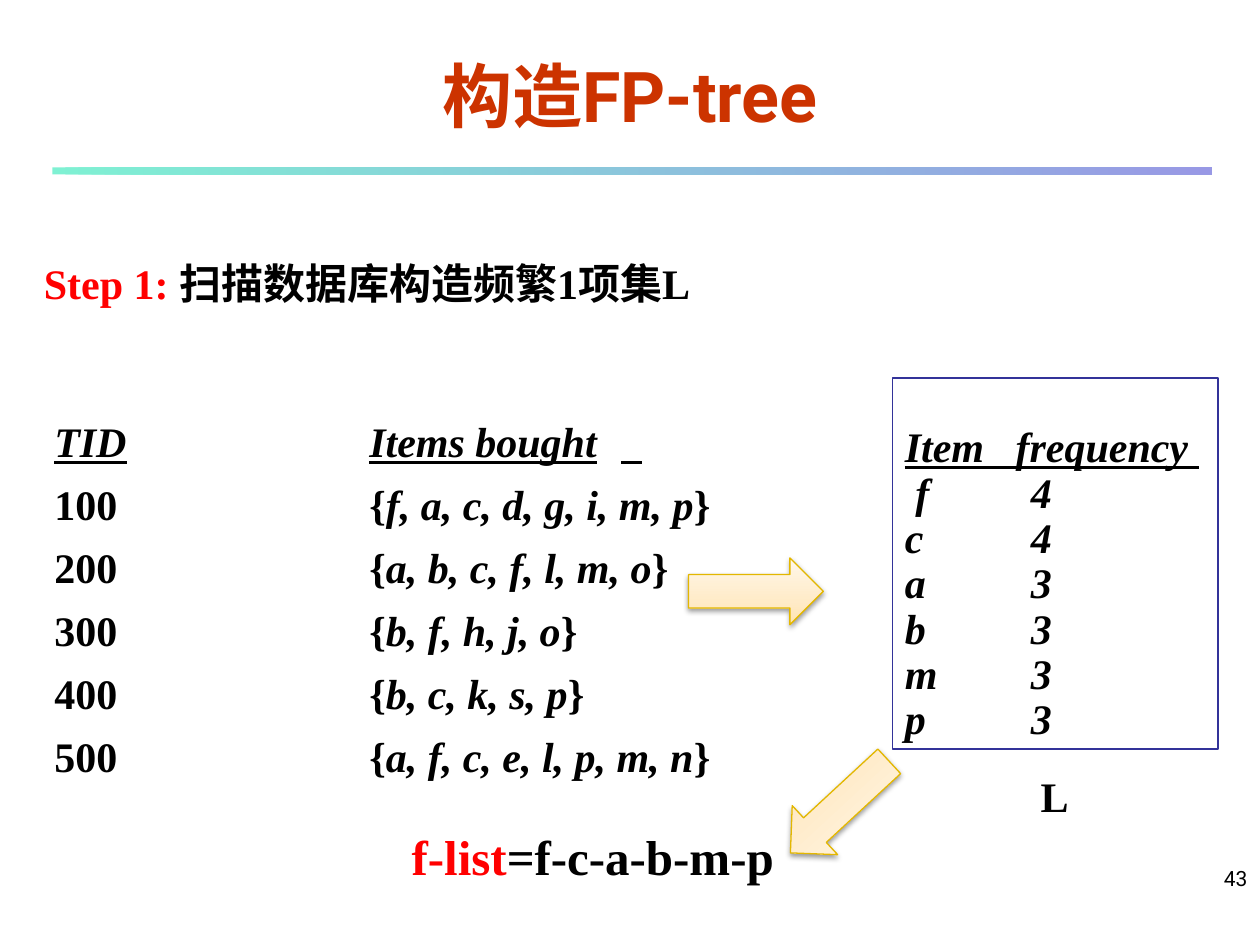
from dataclasses import dataclass

from lxml.etree import SubElement
from pptx import Presentation
from pptx.dml.color import RGBColor
from pptx.enum.shapes import MSO_SHAPE
from pptx.enum.text import MSO_ANCHOR, MSO_AUTO_SIZE, PP_ALIGN
from pptx.oxml.ns import qn
from pptx.util import Pt

BLACK = RGBColor(0x00, 0x00, 0x00)
RED = RGBColor(0xFF, 0x00, 0x00)
TITLE_RED = RGBColor(0xCC, 0x33, 0x00)
FRAME_BLUE = RGBColor(0x33, 0x33, 0x99)
ARROW_EDGE = RGBColor(0xE3, 0xB7, 0x00)
RULE_GREEN = RGBColor(0x00, 0xE4, 0xA8)
RULE_BLUE = RGBColor(0x33, 0x33, 0xCC)
CREAM_DARK = RGBColor(0xFF, 0xE4, 0xB1)
CREAM = RGBColor(0xFF, 0xEB, 0xC8)
CREAM_LIGHT = RGBColor(0xFF, 0xF7, 0xEA)
SERIF, SANS = "Times New Roman", "Roboto"
TAB_STEP = Pt(72)


@dataclass
class Area:
    left: float
    top: float
    width: float
    height: float

    def lengths(self):
        return Pt(self.left), Pt(self.top), Pt(self.width), Pt(self.height)


@dataclass
class Span:
    text: str
    size: float = 24
    color: RGBColor = BLACK
    italic: bool = False
    underline: bool = False
    bold: bool = True
    font: str = SERIF


@dataclass
class Arrow:
    area: Area
    rotation: float = 0


TRANSACTIONS = {
    "100": "f, a, c, d, g, i, m, p",
    "200": "a, b, c, f, l, m, o",
    "300": "b, f, h, j, o",
    "400": "b, c, k, s, p",
    "500": "a, f, c, e, l, p, m, n",
}
FREQUENCIES = {" f": 4, "c": 4, "a": 3, "b": 3, "m": 3, "p": 3}
ARROWS = [
    Arrow(Area(393.5, 318.8, 77, 38.2)),
    Arrow(Area(441.4, 442.1, 77, 38.2), 137.2),
]


def add_spans(para, spans: list[Span]) -> None:
    for span in spans:
        run = para.add_run()
        run.text = span.text
        font = run.font
        font.name, font.size, font.bold = span.font, Pt(span.size), span.bold
        font.italic, font.underline = span.italic, span.underline
        font.color.rgb = span.color


def fill_lines(frame, lines: list[list[Span]], spacing: float, hanging: float = 0) -> None:
    for index, spans in enumerate(lines):
        para = frame.paragraphs[0] if index == 0 else frame.add_paragraph()
        para.alignment = PP_ALIGN.LEFT
        para.line_spacing, para.space_before = Pt(spacing), Pt(0)
        properties = para._p.get_or_add_pPr()
        properties.set("defTabSz", str(TAB_STEP))
        if hanging:
            properties.set("marL", str(Pt(hanging)))
            properties.set("indent", str(Pt(-hanging)))
            SubElement(properties, qn("a:buNone"))
        add_spans(para, spans)


def add_label(page, area: Area, spans: list[Span], wrap: bool = False):
    box = page.shapes.add_textbox(*area.lengths())
    box.text_frame.word_wrap = wrap
    add_spans(box.text_frame.paragraphs[0], spans)
    return box


def add_color(parent, color: RGBColor, opacity: int) -> None:
    node = SubElement(parent, qn("a:srgbClr"), val=str(color))
    if opacity < 100:
        SubElement(node, qn("a:alpha"), val=str(opacity * 1000))


def set_gradient(shape, stops: dict[int, RGBColor], angle: float, opacity: int = 100) -> None:
    shape.fill.gradient()
    shape.fill.gradient_angle = angle
    stop_list = shape._element.spPr.find(qn("a:gradFill")).find(qn("a:gsLst"))
    for old in list(stop_list):
        stop_list.remove(old)
    for position, color in stops.items():
        stop = SubElement(stop_list, qn("a:gs"), pos=str(position * 1000))
        add_color(stop, color, opacity)


def add_arrow(page, arrow: Arrow) -> None:
    shape = page.shapes.add_shape(MSO_SHAPE.RIGHT_ARROW, *arrow.area.lengths())
    shape.rotation = arrow.rotation
    set_gradient(shape, {0: CREAM_DARK, 35: CREAM, 100: CREAM_LIGHT}, 90)
    shape.line.color.rgb, shape.line.width = ARROW_EDGE, Pt(0.75)
    shape.shadow.inherit = False
    effects = shape._element.spPr.find(qn("a:effectLst"))
    shadow = SubElement(effects, qn("a:outerShdw"), blurRad=str(Pt(3.1)),
                        dist=str(Pt(1.6)), dir="5400000", rotWithShape="0")
    add_color(shadow, BLACK, 38)


def place(shape, area: Area) -> None:
    shape.left, shape.top, shape.width, shape.height = area.lengths()


def main() -> None:
    deck = Presentation()
    deck.slide_width, deck.slide_height = Pt(720), Pt(540)
    page = deck.slides.add_slide(deck.slide_layouts[1])

    # Rule under the title
    rule = page.shapes.add_shape(MSO_SHAPE.RECTANGLE, *Area(30, 95.6, 662.5, 4).lengths())
    set_gradient(rule, {0: RULE_GREEN, 100: RULE_BLUE}, 0, 50)
    rule.line.fill.background()
    rule.shadow.inherit = False

    # Title
    title = page.shapes.title
    place(title, Area(0, 12, 720, 84))
    title.text_frame.vertical_anchor = MSO_ANCHOR.MIDDLE
    title.text_frame.paragraphs[0].alignment = PP_ALIGN.CENTER
    add_spans(title.text_frame.paragraphs[0],
              [Span("构造FP-tree", 40, TITLE_RED, font=SANS)])

    # Step heading
    add_label(page, Area(18, 143.5, 558, 36.5),
              [Span("Step 1: ", color=RED), Span("扫描数据库构造频繁1项集L")], wrap=True)

    # Transactions
    body = page.placeholders[1]
    place(body, Area(23.8, 198, 408, 237))
    frame = body.text_frame
    frame.auto_size, frame.vertical_anchor = MSO_AUTO_SIZE.NONE, MSO_ANCHOR.TOP
    frame.margin_top = Pt(32.4)
    header = [Span("TID\t\tItems bought\t  ", italic=True, underline=True)]
    rows = [[Span(f"{tid}\t\t{{"), Span(items, italic=True), Span("}")]
            for tid, items in TRANSACTIONS.items()]
    fill_lines(frame, [header] + rows, 36, hanging=36)

    # Item frequencies
    box = page.shapes.add_shape(MSO_SHAPE.RECTANGLE, *Area(510, 216, 186, 212.2).lengths())
    box.fill.background()
    box.line.color.rgb, box.line.width = FRAME_BLUE, Pt(1)
    box.shadow.inherit = False
    box.text_frame.vertical_anchor = MSO_ANCHOR.BOTTOM
    header = [Span("Item   frequency ", italic=True, underline=True)]
    rows = [[Span(f"{item}\t{count}", italic=True)] for item, count in FREQUENCIES.items()]
    fill_lines(box.text_frame, [header] + rows, 25.9)

    # Arrows and results
    for arrow in ARROWS:
        add_arrow(page, arrow)
    add_label(page, Area(587.6, 436.9, 31, 36), [Span("L")])
    add_label(page, Area(228.2, 468.7, 224, 41),
              [Span("f-list", 28, RED), Span("=f-c-a-b-m-p", 28)])

    # Page number
    number = add_label(page, Area(570, 476.6, 150, 36),
                       [Span("43", 12, bold=False, font=SANS)], wrap=True)
    number.text_frame.vertical_anchor = MSO_ANCHOR.BOTTOM
    number.text_frame.paragraphs[0].alignment = PP_ALIGN.RIGHT

    deck.save("out.pptx")


if __name__ == "__main__":
    main()
